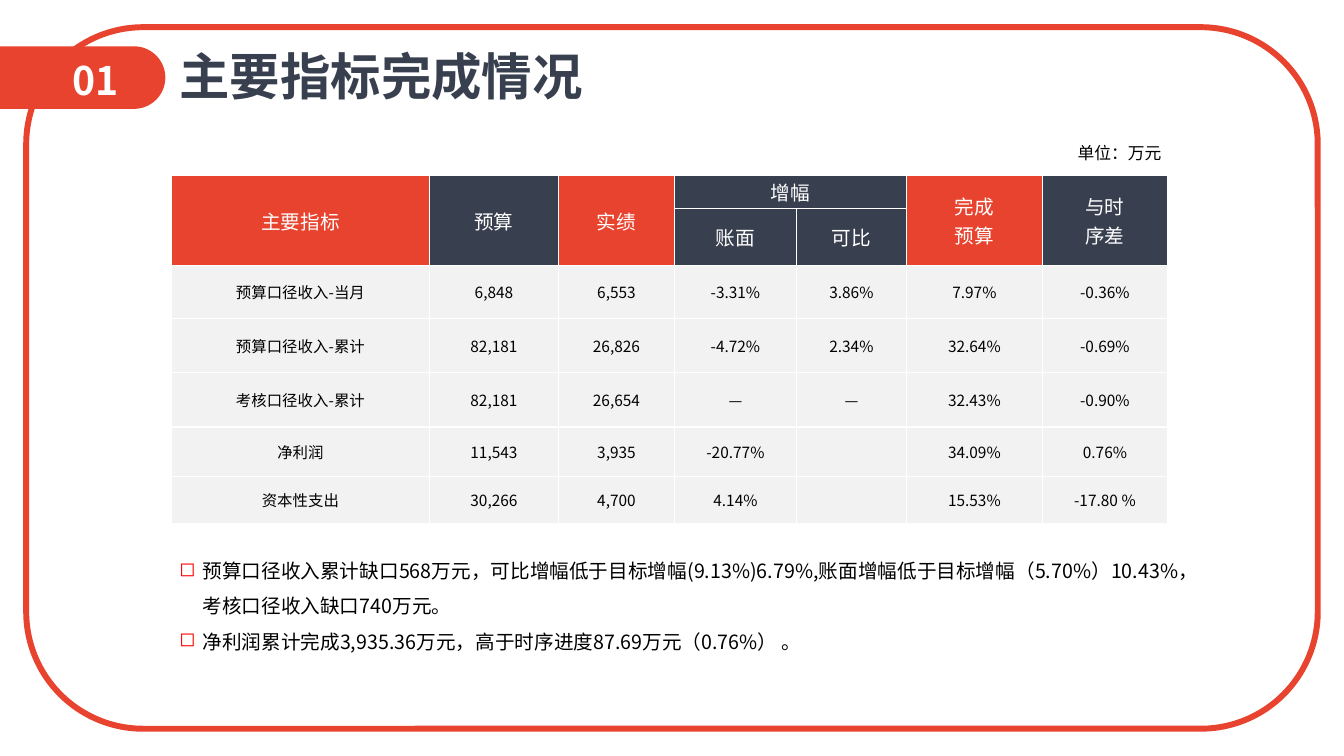
import math
from dataclasses import dataclass

import pptx
import pptx.dml.color
import pptx.enum.shapes
import pptx.enum.text
import pptx.oxml
import pptx.oxml.ns
import pptx.util
from pptx.util import Inches

FONT = "Noto Sans CJK SC"
RED, NAVY, GREY, WHITE, BLACK = "E8432E", "383F4E", "F2F2F2", "FFFFFF", "000000"
BULLET_RED = "FF0000"
ALIGN = pptx.enum.text.PP_ALIGN
ANCHOR = pptx.enum.text.MSO_ANCHOR
NAMESPACE = pptx.oxml.ns.nsdecls("a")


@dataclass(frozen=True)
class TextStyle:
    size: float
    color: str = BLACK
    bold: bool = False
    align: ALIGN = ALIGN.LEFT


@dataclass(frozen=True)
class Label:
    text: str
    left: float
    top: float
    width: float
    height: float
    style: TextStyle
    wrap: bool = False
    bulleted: bool = False


@dataclass(frozen=True)
class Column:
    width: float
    color: str
    heading: str
    subheading: str = ""


TITLE = Label("主要指标完成情况", 1.68, 0.4, 4.5, 0.71, TextStyle(36, NAVY, True))
LABELS = [
    Label("01", 0.62, 0.51, 1.02, 0.57, TextStyle(28, WHITE, True), wrap=True),
    Label("单位：万元", 10.59, 1.37, 1.03, 0.3, TextStyle(12, align=ALIGN.RIGHT)),
    Label(
        "预算口径收入累计缺口568万元，可比增幅低于目标增幅(9.13%)6.79%,账面增幅低于目标增幅"
        "（5.70%）10.43%，考核口径收入缺口740万元。\n"
        "净利润累计完成3,935.36万元，高于时序进度87.69万元（0.76%） 。",
        1.68, 5.38, 10.32, 1.16, TextStyle(14), wrap=True, bulleted=True,
    ),
]
COLUMNS = [
    Column(2.56, RED, "主要指标"),
    Column(1.28, NAVY, "预算"),
    Column(1.15, RED, "实绩"),
    Column(1.21, NAVY, "增幅", "账面"),
    Column(1.09, NAVY, "", "可比"),
    Column(1.35, RED, "完成\n预算"),
    Column(1.24, NAVY, "与时\n序差"),
]
# The second header row must be tall enough for a two-line heading.
ROW_HEIGHTS = [0.33, 0.56, 0.52, 0.54, 0.54, 0.49, 0.47]
INDICATORS = [
    ["预算口径收入-当月", "6,848", "6,553", "-3.31%", "3.86%", "7.97%", "-0.36%"],
    ["预算口径收入-累计", "82,181", "26,826", "-4.72%", "2.34%", "32.64%", "-0.69%"],
    ["考核口径收入-累计", "82,181", "26,654", "—", "—", "32.43%", "-0.90%"],
    ["净利润", "11,543", "3,935", "-20.77%", "", "34.09%", "0.76%"],
    ["资本性支出", "30,266", "4,700", "4.14%", "", "15.53%", "-17.80 %"],
]
HEADER_STYLE = TextStyle(14, WHITE, align=ALIGN.CENTER)
BODY_STYLE = TextStyle(11, align=ALIGN.CENTER)


def rgb(color: str) -> pptx.dml.color.RGBColor:
    return pptx.dml.color.RGBColor.from_string(color)


def format_text(text_frame, style: TextStyle) -> None:
    for paragraph in text_frame.paragraphs:
        paragraph.alignment = style.align
        for run in paragraph.runs:
            run.font.size = pptx.util.Pt(style.size)
            run.font.bold = style.bold
            run.font.color.rgb = rgb(style.color)
            run.font.name = FONT
            east_asian = pptx.oxml.parse_xml(f'<a:ea {NAMESPACE} typeface="{FONT}"/>')
            run.font._element.append(east_asian)


def add_bullets(text_frame) -> None:
    for paragraph in text_frame.paragraphs:
        paragraph.line_spacing = 1.5
        properties = paragraph._p.get_or_add_pPr()
        properties.set("marL", str(Inches(0.23)))
        properties.set("indent", str(Inches(-0.23)))
        for xml in (
            f'<a:buClr {NAMESPACE}><a:srgbClr val="{BULLET_RED}"/></a:buClr>',
            f'<a:buChar {NAMESPACE} char="◻"/>',
        ):
            properties.append(pptx.oxml.parse_xml(xml))


def fill_label(shape, label: Label) -> None:
    """Place a text box or placeholder and give it the label's text."""
    shape.left, shape.top = Inches(label.left), Inches(label.top)
    shape.width, shape.height = Inches(label.width), Inches(label.height)
    text_frame = shape.text_frame
    text_frame.text = label.text
    text_frame.word_wrap = label.wrap
    text_frame.auto_size = pptx.enum.text.MSO_AUTO_SIZE.NONE
    text_frame.vertical_anchor = ANCHOR.TOP
    if label.bulleted:
        add_bullets(text_frame)
    format_text(text_frame, label.style)


def add_frame(slide) -> None:
    frame = slide.shapes.add_shape(
        pptx.enum.shapes.MSO_SHAPE.ROUNDED_RECTANGLE,
        Inches(0.26), Inches(0.27), Inches(12.81), Inches(6.96),
    )
    frame.shadow.inherit = False
    frame.fill.background()
    frame.line.color.rgb = rgb(RED)
    frame.line.width = pptx.util.Pt(4.25)


def add_number_tab(slide) -> None:
    """Draw the tab that starts at the slide edge and ends in a half circle."""
    center_x, center_y, radius = Inches(1.33), Inches(0.77), Inches(0.31)
    arc = [
        (center_x + radius * math.cos(angle), center_y + radius * math.sin(angle))
        for angle in (math.radians(degrees) for degrees in range(-90, 91, 5))
    ]
    builder = slide.shapes.build_freeform(0, center_y - radius)
    builder.add_line_segments([*arc, (0, center_y + radius)], close=True)
    tab = builder.convert_to_shape()
    tab.shadow.inherit = False
    tab.fill.solid()
    tab.fill.fore_color.rgb = rgb(RED)
    tab.line.fill.background()


def format_cell(cell, text: str, fill: str, style: TextStyle) -> None:
    cell.text = text
    cell.margin_left = cell.margin_right = cell.margin_top = cell.margin_bottom = 0
    cell.vertical_anchor = ANCHOR.MIDDLE
    properties = cell._tc.get_or_add_tcPr()
    for side in ("lnL", "lnR", "lnT", "lnB"):
        properties.append(pptx.oxml.parse_xml(
            f'<a:{side} {NAMESPACE} w="12700"><a:solidFill>'
            f'<a:srgbClr val="{WHITE}"/></a:solidFill></a:{side}>'
        ))
    cell.fill.solid()
    cell.fill.fore_color.rgb = rgb(fill)
    format_text(cell.text_frame, style)


def add_indicator_table(slide) -> None:
    table = slide.shapes.add_table(
        len(ROW_HEIGHTS), len(COLUMNS),
        Inches(1.7), Inches(1.74), Inches(9.88), Inches(3.44),
    ).table
    table.first_row = table.horz_banding = False
    for row, height in zip(table.rows, ROW_HEIGHTS):
        row.height = Inches(height)
    for index, column in enumerate(COLUMNS):
        table.columns[index].width = Inches(column.width)
        format_cell(table.cell(0, index), column.heading, column.color, HEADER_STYLE)
        format_cell(table.cell(1, index), column.subheading, column.color, HEADER_STYLE)
        if not column.subheading:
            table.cell(0, index).merge(table.cell(1, index))
        for row_index, values in enumerate(INDICATORS, start=2):
            format_cell(table.cell(row_index, index), values[index], GREY, BODY_STYLE)
    table.cell(0, 3).merge(table.cell(0, 4))


def main() -> None:
    presentation = pptx.Presentation()
    presentation.slide_width, presentation.slide_height = Inches(13.33), Inches(7.5)
    slide = presentation.slides.add_slide(presentation.slide_layouts[5])
    add_frame(slide)
    add_number_tab(slide)
    fill_label(slide.shapes.title, TITLE)
    add_indicator_table(slide)
    for label in LABELS:
        box = slide.shapes.add_textbox(0, 0, 0, 0)
        fill_label(box, label)
    presentation.save("out.pptx")


if __name__ == "__main__":
    main()
